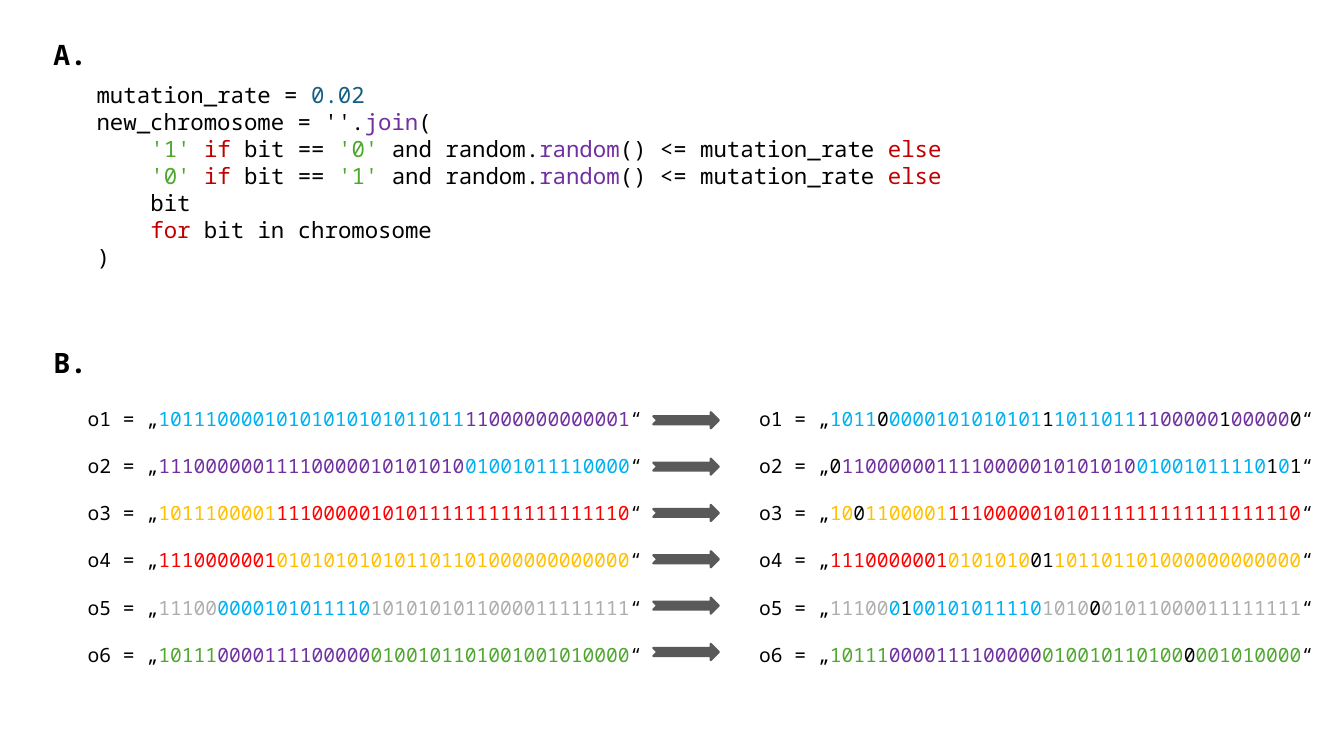
import itertools
import pptx
import pptx.dml.color
import pptx.enum.shapes
import pptx.util

THEME = {
    "font": "Noto Sans Mono",
    "label": 20, "code": 16, "genome": 14,
    "black": "000000", "blue": "00B0F0", "purple": "7030A0", "gold": "FFC000",
    "red": "FF0000", "grey": "AEAEAE", "green": "4EA72E", "teal": "156082",
    "crimson": "C00000", "arrow": "595959",
}

deck = pptx.Presentation()
deck.slide_width = pptx.util.Inches(13.33)
deck.slide_height = pptx.util.Inches(7.5)
page = deck.slides.add_slide(deck.slide_layouts[6])


def place(left, top, width, height):
    column, row = deck.slide_width / 100, deck.slide_height / 100
    return [round(length) for length in (left * column, top * row, width * column, height * row)]


def write(box, lines, size, bold=False, gap=0):
    frame = box.text_frame
    frame.word_wrap = True
    for number, spans in enumerate(lines):
        para = frame.paragraphs[0] if number == 0 else frame.add_paragraph()
        para.space_after = pptx.util.Pt(gap)
        for color, text in spans:
            span = para.add_run()
            span.text = text
            span.font.name = THEME["font"]
            span.font.size = pptx.util.Pt(THEME[size])
            span.font.bold = bold
            span.font.color.rgb = pptx.dml.color.RGBColor.from_string(THEME[color])


for label, top in (("A.", 4.27), ("B.", 45.07)):
    box = page.shapes.add_textbox(*place(3.23, top, 5.03, 5.87))
    write(box, [[("black", label)]], "label", bold=True)

code = [
    [("black", "mutation_rate = "), ("teal", "0.02")],
    [("black", "new_chromosome = ''."), ("purple", "join"), ("black", "(")],
]
for new_bit, old_bit in (("1", "0"), ("0", "1")):
    code.append([
        ("green", f"'{new_bit}' "), ("crimson", "if"), ("black", " bit == "),
        ("green", f"'{old_bit}' "), ("black", "and random."), ("purple", "random"),
        ("black", "() <= mutation_rate "), ("crimson", "else"),
    ])
code += [
    [("black", "bit")],
    [("crimson", "for"), ("black", " bit in chromosome")],
    [("black", ")")],
]
code_box = page.shapes.add_textbox(*place(6.45, 10.13, 91.52, 26.53))
write(code_box, code, "code")
indent = pptx.util.Pt(4 * 0.6 * THEME["code"])
for para in code_box.text_frame.paragraphs[2:6]:
    properties = para._p.get_or_add_pPr()
    properties.set("marL", str(indent))
    properties.set("indent", "0")

offspring = [
    ([("blue", "10111000010101010101011011"), ("purple", "11000000000001")], {4, 18, 33, 39}),
    ([("purple", "11100000011110000010101010"), ("blue", "01001011110000")], {0, 37, 39}),
    ([("gold", "1011100001"), ("red", "111000001010111111111111111110")], {2}),
    ([("red", "1110000001"), ("gold", "010101010101101101000000000000")], {17, 18}),
    ([("grey", "11100"), ("blue", "0000101011110"), ("grey", "1010101011000011111111")], {6, 22}),
    ([("green", "10111"), ("purple", "0000111100000"), ("green", "0100101101001001010000")], {30}),
]
before, after = [], []
for number, (segments, mutations) in enumerate(offspring, start=1):
    opening, closing = ("black", f"o{number} = „"), ("black", "“")
    before.append([opening, *segments, closing])
    bits = [(color, bit) for color, text in segments for bit in text]
    for position in mutations:
        bits[position] = ("black", "1" if bits[position][1] == "0" else "0")
    letters = [opening, *bits, closing]
    after.append([
        (color, "".join(text for _, text in group))
        for color, group in itertools.groupby(letters, key=lambda letter: letter[0])
    ])

for left, genomes in ((5.78, before), (55.74, after)):
    box = page.shapes.add_textbox(*place(left, 53.2, 43, 41))
    write(box, genomes, "genome", gap=1.2 * THEME["genome"])

arrow_color = pptx.dml.color.RGBColor.from_string(THEME["arrow"])
for row in range(len(offspring)):
    arrow = page.shapes.add_shape(
        pptx.enum.shapes.MSO_SHAPE.NOTCHED_RIGHT_ARROW,
        *place(48.61, 54.53 + 6.13 * row, 4.88, 2.13))
    arrow.shadow.inherit = False
    arrow.fill.solid()
    arrow.fill.fore_color.rgb = arrow_color
    arrow.line.color.rgb = arrow_color
    arrow.line.width = pptx.util.Pt(1.5)

deck.save("out.pptx")
